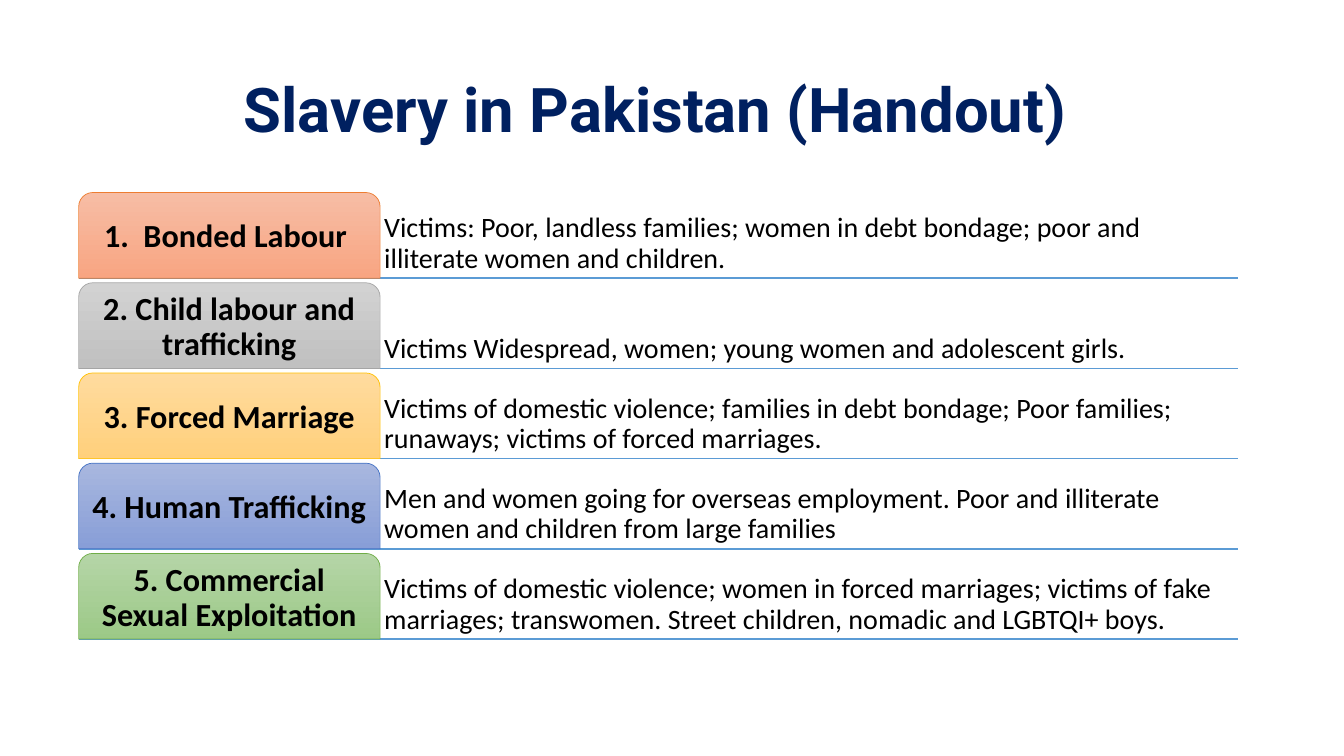
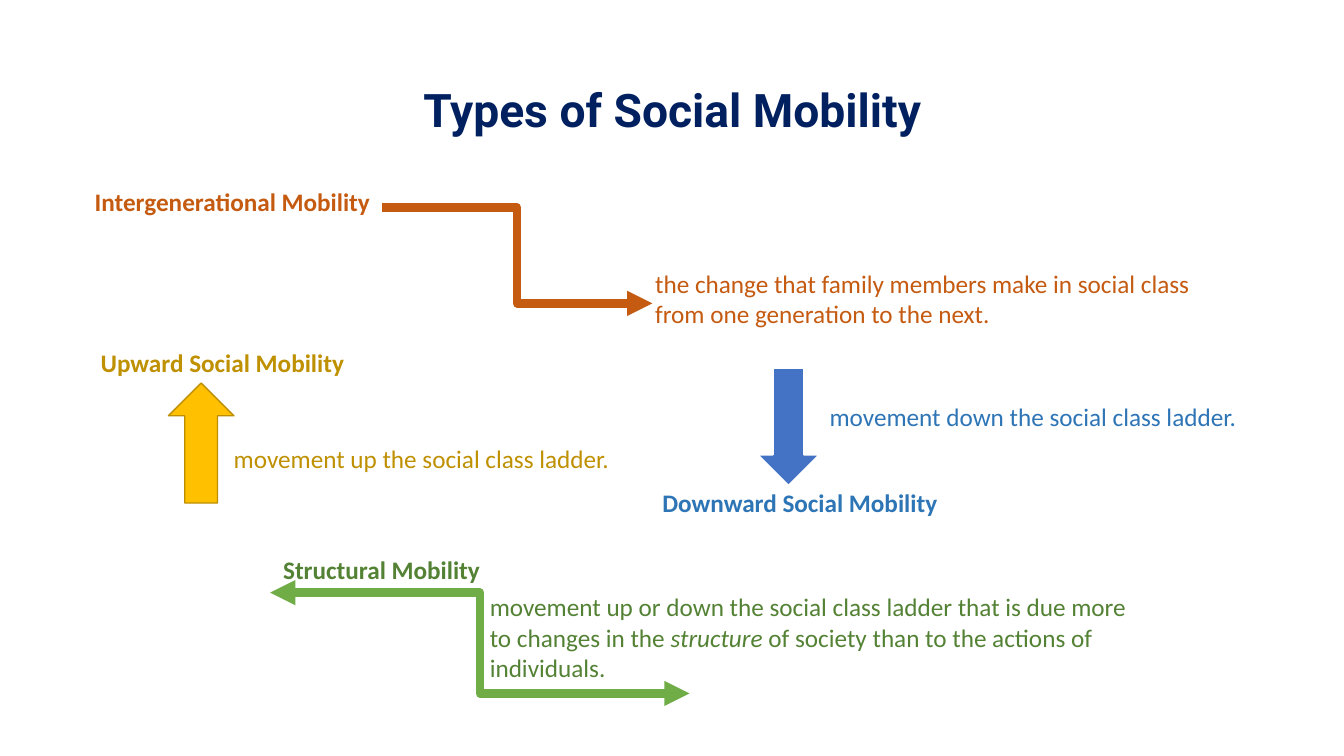
"""Build two slides on slavery in Pakistan and on social mobility."""
from lxml.etree import SubElement
from pptx import Presentation
from pptx.dml.color import RGBColor
from pptx.enum.shapes import MSO_CONNECTOR, MSO_SHAPE
from pptx.enum.text import MSO_ANCHOR, PP_ALIGN
from pptx.oxml.ns import qn
from pptx.util import Inches, Pt

COLORS = {
    "title": "002060", "text": "000000", "rule": "5B9BD5", "white": "FFFFFF",
    "orange": "C55A11", "gold": "BF9000", "blue": "2E75B6", "green": "548235",
    "gold_fill": "FFC000", "gold_line": "BD8E00", "blue_fill": "4472C4",
    "green_line": "70AD47",
}
TITLE = {"name": "Roboto", "bold": True}
LABEL = {"name": "Calibri", "size": Pt(23), "bold": True}
VICTIMS = {"name": "Calibri", "size": Pt(20)}
TERM = {"name": "Calibri", "size": Pt(18), "bold": True}
MEANING = {"name": "Calibri", "size": Pt(18)}

ROWS = [
    ("1.  Bonded Labour ",
     "Victims: Poor, landless families; women in debt bondage; poor and "
     "illiterate women and children.",
     ("F7BDA5", "F8A582", "ED7D31")),
    ("2. Child labour and trafficking",
     "Victims Widespread, women; young women and adolescent girls.",
     ("D2D2D2", "C0C0C0", "A5A5A5")),
    ("3. Forced Marriage",
     "Victims of domestic violence; families in debt bondage; Poor families; "
     "runaways; victims of forced marriages.",
     ("FFDB9E", "FFD07C", "FFC000")),
    ("4. Human Trafficking",
     "Men and women going for overseas employment. Poor and illiterate women "
     "and children from large families",
     ("A8B7DF", "889ED7", "4472C4")),
    ("5. Commercial Sexual Exploitation",
     "Victims of domestic violence; women in forced marriages; victims of fake "
     "marriages; transwomen. Street children, nomadic and LGBTQI+ boys.",
     ("B5D5A7", "9CC987", "70AD47")),
]
LEFT, TOP, RIGHT = 0.78, 1.91, 12.28
LABEL_W, ROW_H, ROW_GAP = 2.99, 0.85, 0.045

TERMS = [
    ("Intergenerational Mobility", (0.84, 1.8, 2.95, 0.4), "orange"),
    ("Upward Social Mobility", (0.9, 3.4, 2.64, 0.4), "gold"),
    ("Downward Social Mobility", (6.47, 4.79, 2.95, 0.4), "blue"),
    ("Structural Mobility", (2.71, 5.45, 2.17, 0.4), "green"),
]
MEANINGS = [
    (["the change that family members make in social class from one "
      "generation to the next."], (6.4, 2.61, 5.63, 0.71), "orange", True),
    (["movement up the social class ladder."],
     (2.22, 4.35, 3.97, 0.4), "gold", False),
    (["movement down the social class ladder."],
     (8.13, 3.93, 4.28, 0.4), "blue", False),
    (["movement up or down the social class ladder that is due more to "
      "changes in the ", "structure ",
      "of society than to the actions of individuals."],
     (4.76, 5.82, 6.67, 1.01), "green", True),
]


def rgb(color):
    return RGBColor.from_string(COLORS.get(color, color))


def inches(box):
    return [Inches(v) for v in box]


def write(sp, texts, font, color="text", inset=None, wrap=True,
          anchor=MSO_ANCHOR.TOP, align=PP_ALIGN.LEFT, spacing=1.0):
    tf = sp.text_frame
    tf.word_wrap = wrap
    tf.vertical_anchor = anchor
    if inset is not None:
        for side in ("left", "top", "right", "bottom"):
            setattr(tf, f"margin_{side}", Inches(inset))
    p = tf.paragraphs[0]
    p.alignment = align
    p.line_spacing = spacing
    for i, text in enumerate(texts):
        r = p.add_run()
        r.text = text
        for name, value in font.items():
            setattr(r.font, name, value)
        r.font.color.rgb = rgb(color)
        if i % 2:
            r.font.italic = True


def add_text(s, box, texts, font, **style):
    write(s.shapes.add_textbox(*inches(box)), texts, font, **style)


def add_title(s, box, text, size):
    add_text(s, box, [text], {**TITLE, "size": Pt(size)}, color="title",
             anchor=MSO_ANCHOR.MIDDLE, align=PP_ALIGN.CENTER, spacing=0.9)


def add_block(s, kind, box, line, width):
    sp = s.shapes.add_shape(kind, *inches(box))
    sp.shadow.inherit = False
    sp.line.color.rgb = rgb(line)
    sp.line.width = Pt(width)
    return sp


def add_arrow(s, kind, box, fill, line, width):
    sp = add_block(s, kind, box, line, width)
    sp.fill.solid()
    sp.fill.fore_color.rgb = rgb(fill)


def add_line(s, kind, ends, color, width, heads=()):
    sp = s.shapes.add_connector(kind, *inches(ends))
    sp.line.color.rgb = rgb(color)
    sp.line.width = Pt(width)
    ln = sp.line._get_or_add_ln()
    for head in heads:
        SubElement(ln, qn(f"a:{head}"), type="triangle")
    SubElement(sp._element.spPr, qn("a:effectLst"))


def add_row(s, top, label, victims, shades):
    light, dark, edge = shades
    bottom, text_left = top + ROW_H, LEFT + LABEL_W
    add_line(s, MSO_CONNECTOR.STRAIGHT, (LEFT, bottom, RIGHT, bottom), "rule", 1)
    add_text(s, (text_left, top, RIGHT - text_left, ROW_H), [victims], VICTIMS,
             inset=0.04, anchor=MSO_ANCHOR.BOTTOM, spacing=0.9)
    sp = add_block(s, MSO_SHAPE.ROUND_2_SAME_RECTANGLE,
                   (LEFT, top, LABEL_W, ROW_H), edge, 0.5)
    sp.fill.gradient()
    sp.fill.gradient_angle = 270
    for stop, color in zip(sp.fill.gradient_stops, (light, dark)):
        stop.color.rgb = rgb(color)
    write(sp, [label], LABEL, inset=0.05, anchor=MSO_ANCHOR.MIDDLE,
          align=PP_ALIGN.CENTER, spacing=0.9)


def slavery_slide(s):
    add_title(s, (0.75, 0.39, 11.5, 1.45), "Slavery in Pakistan (Handout)", 44)
    for i, row in enumerate(ROWS):
        add_row(s, TOP + i * (ROW_H + ROW_GAP), *row)


def mobility_slide(s):
    add_title(s, (2.27, 0.7, 8.8, 0.84), "Types of Social Mobility", 33)
    add_line(s, MSO_CONNECTOR.ELBOW, (3.79, 2.06, 6.47, 3.01), "orange", 6,
             ["tailEnd"])
    add_line(s, MSO_CONNECTOR.ELBOW, (2.68, 5.88, 6.84, 6.88), "green_line", 6,
             ["headEnd", "tailEnd"])
    add_arrow(s, MSO_SHAPE.UP_ARROW, (1.67, 3.8, 0.65, 1.19),
              "gold_fill", "gold_line", 1)
    add_arrow(s, MSO_SHAPE.DOWN_ARROW, (7.51, 3.65, 0.62, 1.17),
              "blue_fill", "white", 1.5)
    for text, box, color in TERMS:
        add_text(s, box, [text], TERM, color=color, wrap=False)
    for texts, box, color, wrap in MEANINGS:
        add_text(s, box, texts, MEANING, color=color, wrap=wrap)


def main():
    prs = Presentation()
    prs.slide_width, prs.slide_height = Inches(13.33), Inches(7.5)
    for build in (slavery_slide, mobility_slide):
        build(prs.slides.add_slide(prs.slide_layouts[6]))
    prs.save("out.pptx")


if __name__ == "__main__":
    main()
